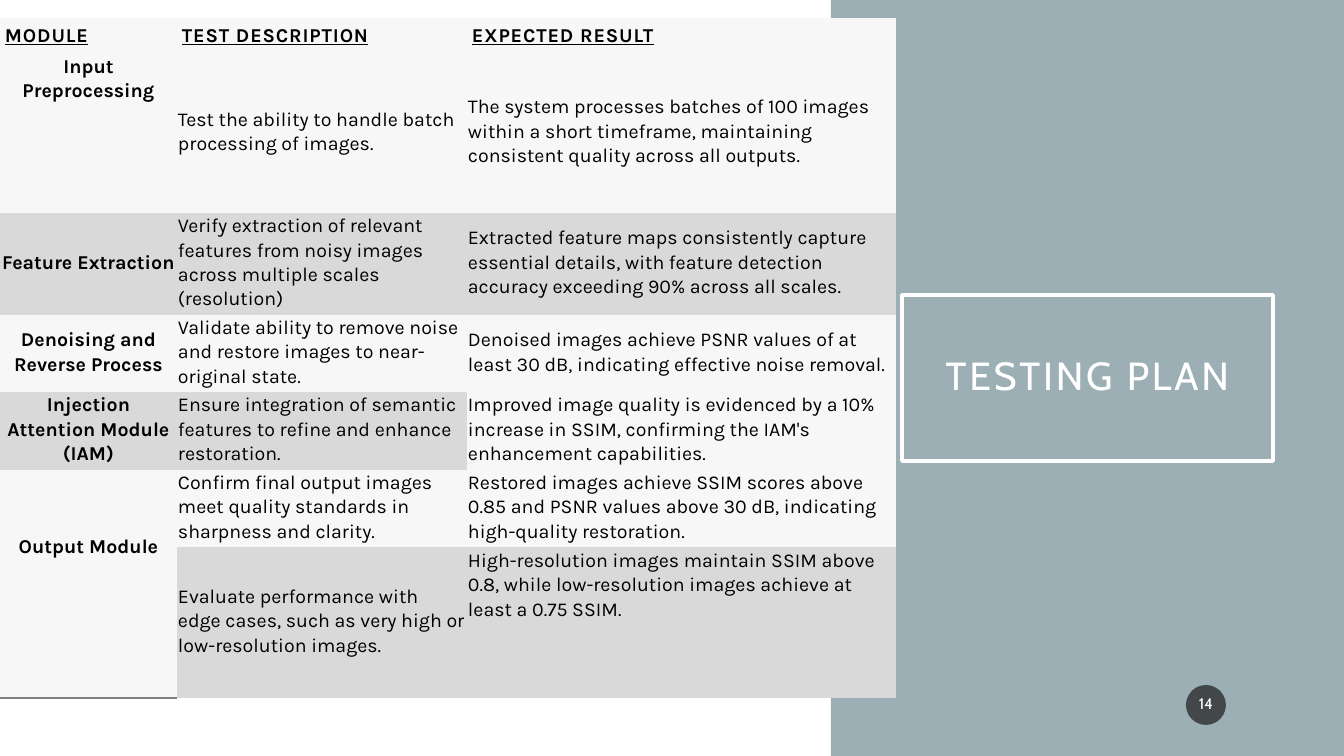
"""Build the testing plan slide."""
from lxml.etree import SubElement
from pptx import Presentation
from pptx.dml.color import RGBColor
from pptx.enum.shapes import MSO_SHAPE
from pptx.enum.text import MSO_ANCHOR, PP_ALIGN
from pptx.oxml import parse_xml
from pptx.oxml.ns import nsdecls, qn
from pptx.util import Pt

HEADERS = ["MODULE", "TEST DESCRIPTION", "EXPECTED RESULT"]
TESTS = [
    ("Input Preprocessing",
     "Test the ability to handle batch processing of images.",
     "The system processes batches of 100 images within a short timeframe, "
     "maintaining consistent quality across all outputs."),
    ("Feature Extraction",
     "Verify extraction of relevant features from noisy images across "
     "multiple scales (resolution)",
     "Extracted feature maps consistently capture essential details, with "
     "feature detection accuracy exceeding 90% across all scales."),
    ("Denoising and Reverse Process",
     "Validate ability to remove noise and restore images to near-original state.",
     "Denoised images achieve PSNR values of at least 30 dB, indicating "
     "effective noise removal."),
    ("Injection Attention Module (IAM)",
     "Ensure integration of semantic features to refine and enhance restoration.",
     "Improved image quality is evidenced by a 10% increase in SSIM, "
     "confirming the IAM's enhancement capabilities."),
    ("Output Module",
     "Confirm final output images meet quality standards in sharpness and clarity.",
     "Restored images achieve SSIM scores above 0.85 and PSNR values above "
     "30 dB, indicating high-quality restoration."),
    ("",
     "Evaluate performance with edge cases, such as very high or "
     "low-resolution images.",
     "High-resolution images maintain SSIM above 0.8, while low-resolution "
     "images achieve at least a 0.75 SSIM."),
]
COLUMN_WIDTHS = [177, 290, 429]
ROW_HEIGHTS = [35, 160, 102, 77, 77, 77, 151]
TOP_INSETS = {(1, 0): 1, (5, 0): 64, (6, 2): 1}
COLORS = {"panel": "9BAFB5", "white": "FFFFFF", "black": "000000",
          "badge": "1D1D1D", "light": "F7F7F7", "band": "D9D9D9",
          "rule": "808080"}
SCALE = 914400 / 100.8
NO_GRID_STYLE = "{2D5ABB26-0587-4C30-8999-92F81FD0307C}"


def px(length):
    return round(length * SCALE)


def color(name):
    return RGBColor.from_string(COLORS[name])


def write(frame, text, *, font, size, fill, insets, align=PP_ALIGN.LEFT,
          bold=False, underline=False, spacing=0, line=0.9, after=0):
    frame.word_wrap = True
    (frame.margin_left, frame.margin_top,
     frame.margin_right, frame.margin_bottom) = map(px, insets)
    para = frame.paragraphs[0]
    para.alignment = align
    para.line_spacing = line
    para.space_before, para.space_after = Pt(0), Pt(after)
    span = para.add_run()
    span.text = text
    span.font.name, span.font.size = font, Pt(size)
    span.font.bold, span.font.underline = bold, underline
    span.font.color.rgb = color(fill)
    span.font._element.set("spc", str(round(spacing * 100)))


def add_plain_shape(page, kind, bounds, fill):
    shape = page.shapes.add_shape(kind, *map(px, bounds))
    shape.shadow.inherit = False
    shape.fill.solid()
    shape.fill.fore_color.rgb = color(fill)
    shape.line.fill.background()
    return shape


def add_title(page):
    title = page.shapes.title
    title.left, title.top, title.width, title.height = map(px, (902, 295, 371, 166))
    title.line.color.rgb = color("white")
    title.line.width = Pt(2.5)
    title.text_frame.vertical_anchor = MSO_ANCHOR.MIDDLE
    write(title.text_frame, "TESTING PLAN", font="Cabin", size=28, fill="white",
          insets=(30, 20, 30, 20), align=PP_ALIGN.CENTER, spacing=2)
    return title


def add_badge(page):
    badge = add_plain_shape(page, MSO_SHAPE.OVAL, (1186, 685, 40, 40), "badge")
    shade = badge._element.spPr.find(qn("a:solidFill"))[0]
    SubElement(shade, qn("a:alpha"), val="70000")
    badge.text_frame.vertical_anchor = MSO_ANCHOR.MIDDLE
    write(badge.text_frame, "14", font="Cabin", size=11, fill="white",
          insets=(2, 5, 2, 5), align=PP_ALIGN.CENTER)


def fill_cell(cell, text, row, column):
    cell.fill.solid()
    banded = row > 0 and row % 2 == 0 and column + row != 6
    cell.fill.fore_color.rgb = color("band" if banded else "light")
    if not text:
        return
    header = row == 0
    top = TOP_INSETS.get((row, column), 0)
    insets = (5, 5, 5, 5) if header else (1, top, 1, 4)
    anchored_top = header or top > 0
    cell.vertical_anchor = MSO_ANCHOR.TOP if anchored_top else MSO_ANCHOR.MIDDLE
    (cell.margin_left, cell.margin_top,
     cell.margin_right, cell.margin_bottom) = map(px, insets)
    centred = column == 0 and not header
    write(cell.text_frame, text, font="Karla", size=14, fill="black",
          insets=insets, align=PP_ALIGN.CENTER if centred else PP_ALIGN.LEFT,
          bold=header or column == 0, underline=header,
          spacing=0.6 if header else 0, line=1.07, after=8)


def add_bottom_rule(cell):
    rule = parse_xml(
        f'<a:lnB {nsdecls("a")} w="12700"><a:solidFill>'
        f'<a:srgbClr val="{COLORS["rule"]}"/></a:solidFill></a:lnB>')
    cell._tc.get_or_add_tcPr().insert(0, rule)


def add_test_table(page):
    rows = [HEADERS, *TESTS]
    bounds = (0, 18, sum(COLUMN_WIDTHS), sum(ROW_HEIGHTS))
    table = page.shapes.add_table(len(rows), len(HEADERS), *map(px, bounds)).table
    table._tbl.tblPr.find(qn("a:tableStyleId")).text = NO_GRID_STYLE
    table.first_row = table.horz_banding = False
    for column, width in zip(table.columns, COLUMN_WIDTHS):
        column.width = px(width)
    for row, height in zip(table.rows, ROW_HEIGHTS):
        row.height = px(height)
    for row, texts in enumerate(rows):
        for column, text in enumerate(texts):
            fill_cell(table.cell(row, column), text, row, column)
    table.cell(5, 0).merge(table.cell(6, 0))
    for row in (5, 6):
        add_bottom_rule(table.cell(row, 0))


def main():
    deck = Presentation()
    deck.slide_width, deck.slide_height = px(1344), px(756)
    page = deck.slides.add_slide(deck.slide_layouts[5])
    panel = add_plain_shape(page, MSO_SHAPE.RECTANGLE, (831, 0, 513, 756), "panel")
    title = add_title(page)
    title._element.addprevious(panel._element)
    add_badge(page)
    add_test_table(page)
    deck.save("out.pptx")


if __name__ == "__main__":
    main()
